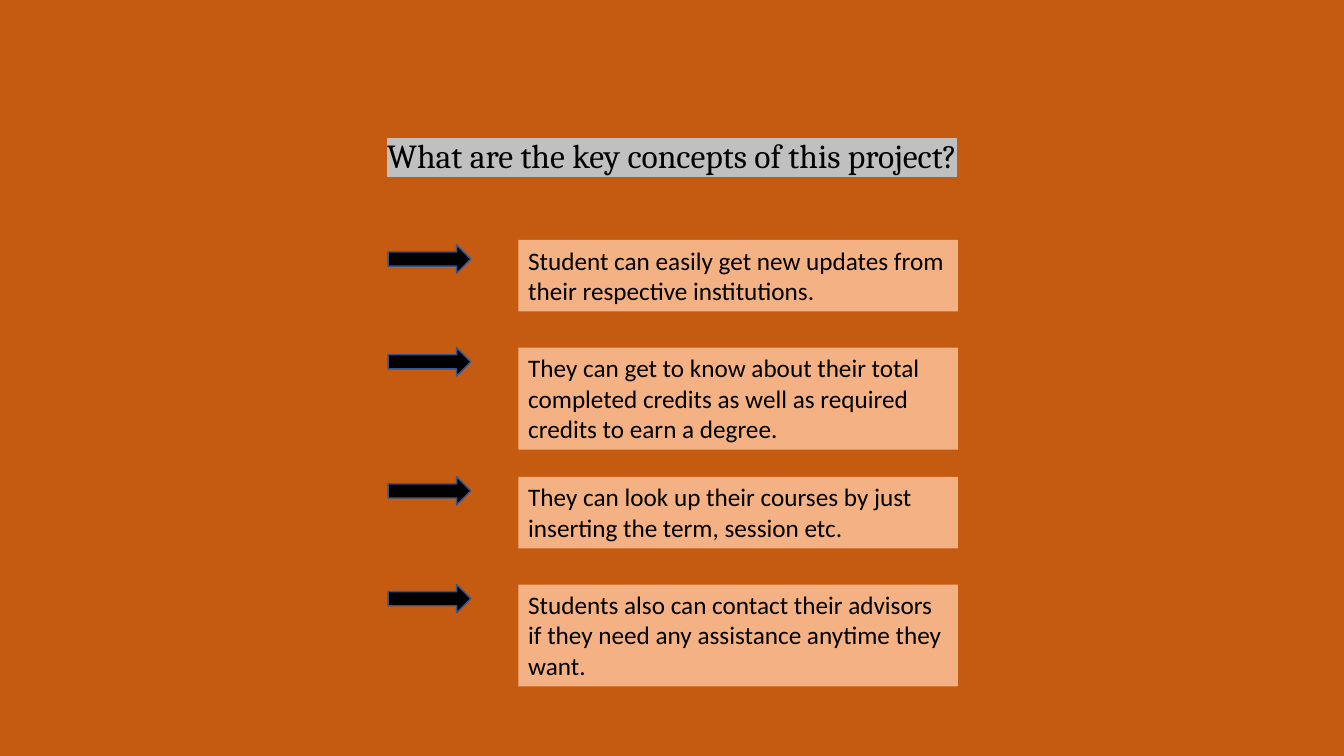
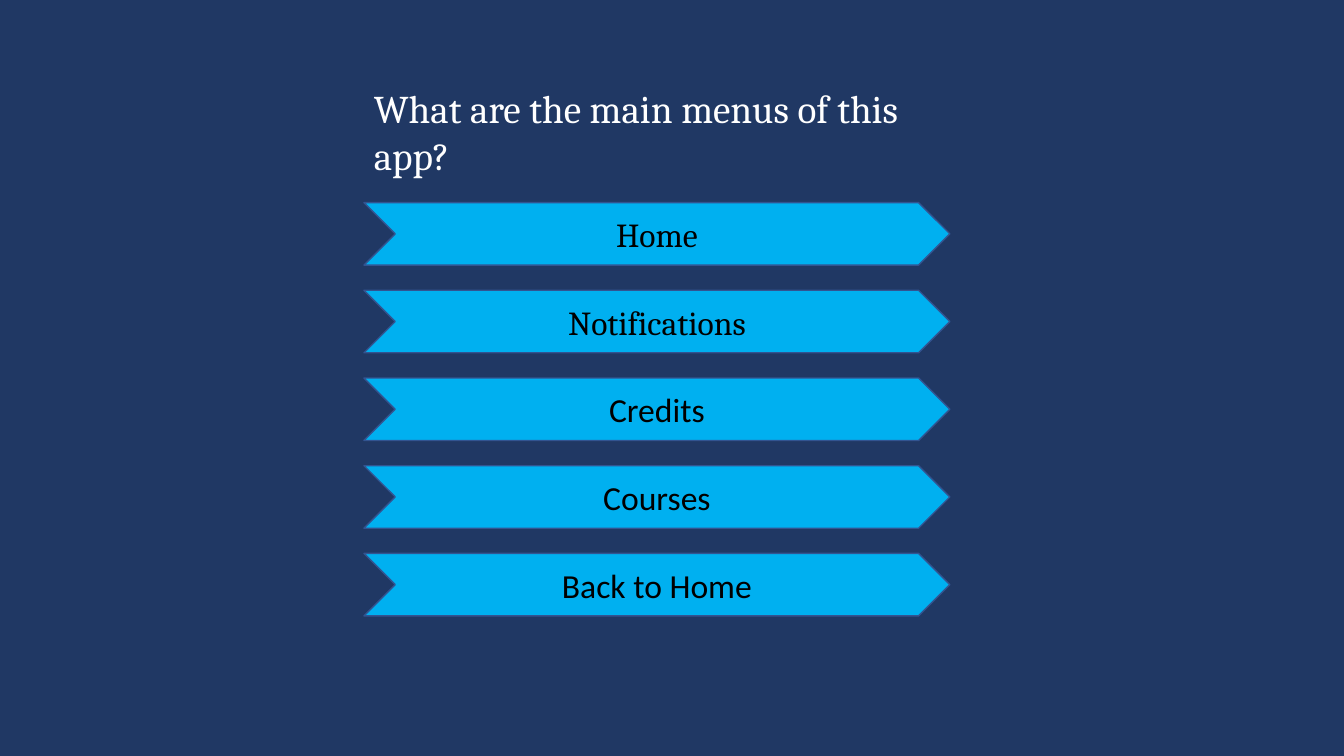
from dataclasses import dataclass

from lxml.etree import SubElement
from pptx import Presentation
from pptx.dml.color import RGBColor
from pptx.enum.shapes import MSO_SHAPE as Preset
from pptx.enum.text import MSO_ANCHOR as Anchor, MSO_AUTO_SIZE as AutoSize, PP_ALIGN as Align
from pptx.oxml.ns import qn
from pptx.shapes.autoshape import Shape
from pptx.slide import Slide
from pptx.util import Inches, Pt

WIDTH, HEIGHT = Inches(13.33), Inches(7.5)
HEADING_FONT, BODY_FONT = "Cambria", "Calibri"
COLORS = {
    "orange": "C55A11",
    "peach": "F4B183",
    "navy": "203864",
    "cyan": "00B0F0",
    "outline": "325491",
    "silver": "C0C0C0",
    "black": "000000",
    "white": "FFFFFF",
}


@dataclass(frozen=True)
class Box:
    """A rectangle in percent of the slide's width and height."""
    left: float
    top: float
    width: float
    height: float

    def lengths(self) -> tuple[int, int, int, int]:
        return (round(WIDTH * self.left / 100), round(HEIGHT * self.top / 100),
                round(WIDTH * self.width / 100), round(HEIGHT * self.height / 100))


@dataclass(frozen=True)
class TextStyle:
    size: int
    font: str = BODY_FONT
    color: str = "black"
    align: Align = Align.LEFT
    anchor: Anchor = Anchor.TOP
    highlight: str | None = None
    grow: bool = True


@dataclass(frozen=True)
class Concept:
    text: str
    arrow_top: float
    box_top: float
    box_height: float


@dataclass(frozen=True)
class MenuItem:
    text: str
    font: str = BODY_FONT


TWO_LINES, THREE_LINES = 9.47, 13.47
CONCEPTS = [
    Concept("Student can easily get new updates from their respective institutions.",
            32.4, 31.73, TWO_LINES),
    Concept("They can get to know about their total completed credits as well as "
            "required credits to earn a degree.", 46, 46, THREE_LINES),
    Concept("They can look up their courses by just inserting the term, session etc.",
            63.07, 63.07, TWO_LINES),
    Concept("Students also can contact their advisors if they need any assistance "
            "anytime they want.", 77.33, 77.33, THREE_LINES),
]
MENU = [
    MenuItem("Home", HEADING_FONT),
    MenuItem("Notifications", HEADING_FONT),
    MenuItem("Credits"),
    MenuItem("Courses"),
    MenuItem("Back to Home"),
]
MENU_LEFT, MENU_TOP, MENU_PITCH = 27.08, 26.8, 11.6


def rgb(name: str) -> RGBColor:
    return RGBColor.from_string(COLORS[name])


def add_slide(presentation: Presentation, background: str) -> Slide:
    slide = presentation.slides.add_slide(presentation.slide_layouts[6])
    fill = slide.background.fill
    fill.solid()
    fill.fore_color.rgb = rgb(background)
    return slide


def write(shape: Shape, text: str, style: TextStyle) -> None:
    frame = shape.text_frame
    frame.word_wrap = True
    frame.auto_size = AutoSize.SHAPE_TO_FIT_TEXT if style.grow else AutoSize.NONE
    frame.vertical_anchor = style.anchor
    paragraph = frame.paragraphs[0]
    paragraph.alignment = style.align
    run = paragraph.add_run()
    run.text = text
    run.font.size = Pt(style.size)
    run.font.color.rgb = rgb(style.color)
    if style.highlight:
        # The highlight stands between the fill and the typeface
        highlight = SubElement(run.font._element, qn("a:highlight"))
        SubElement(highlight, qn("a:srgbClr")).set("val", COLORS[style.highlight])
    run.font.name = style.font


def add_title(slide: Slide, box: Box, text: str, style: TextStyle) -> None:
    write(slide.shapes.add_textbox(*box.lengths()), text, style)


def add_preset(slide: Slide, preset: Preset, box: Box, fill: str,
               outlined: bool = True) -> Shape:
    shape = slide.shapes.add_shape(preset, *box.lengths())
    shape.shadow.inherit = False
    shape.fill.solid()
    shape.fill.fore_color.rgb = rgb(fill)
    if outlined:
        shape.line.color.rgb = rgb("outline")
        shape.line.width = Pt(1)
    else:
        shape.line.fill.background()
    return shape


def build_concepts(presentation: Presentation) -> None:
    slide = add_slide(presentation, "orange")
    add_title(slide, Box(23.56, 17.2, 52.89, 6.67),
              "What are the key concepts of this project?",
              TextStyle(24, HEADING_FONT, align=Align.CENTER, highlight="silver"))
    # An arrow beside each statement
    for concept in CONCEPTS:
        add_preset(slide, Preset.RIGHT_ARROW,
                   Box(28.88, concept.arrow_top, 6.15, 3.73), "black")
        panel = add_preset(slide, Preset.RECTANGLE,
                           Box(38.56, concept.box_top, 32.71, concept.box_height),
                           "peach", outlined=False)
        write(panel, concept.text, TextStyle(18))


def build_menu(presentation: Presentation) -> None:
    slide = add_slide(presentation, "navy")
    add_title(slide, Box(MENU_LEFT, 10.53, 46.66, 13.87),
              "What are the main menus of this app?",
              TextStyle(28, HEADING_FONT, "white"))
    # Evenly spaced menu entries
    for row, item in enumerate(MENU):
        chevron = add_preset(slide, Preset.CHEVRON,
                             Box(MENU_LEFT, MENU_TOP + row * MENU_PITCH, 43.59, 8.27),
                             "cyan")
        write(chevron, item.text, TextStyle(24, item.font, align=Align.CENTER,
                                            anchor=Anchor.MIDDLE, grow=False))


def main() -> None:
    presentation = Presentation()
    presentation.slide_width, presentation.slide_height = WIDTH, HEIGHT
    build_concepts(presentation)
    build_menu(presentation)
    presentation.save("out.pptx")


if __name__ == "__main__":
    main()
